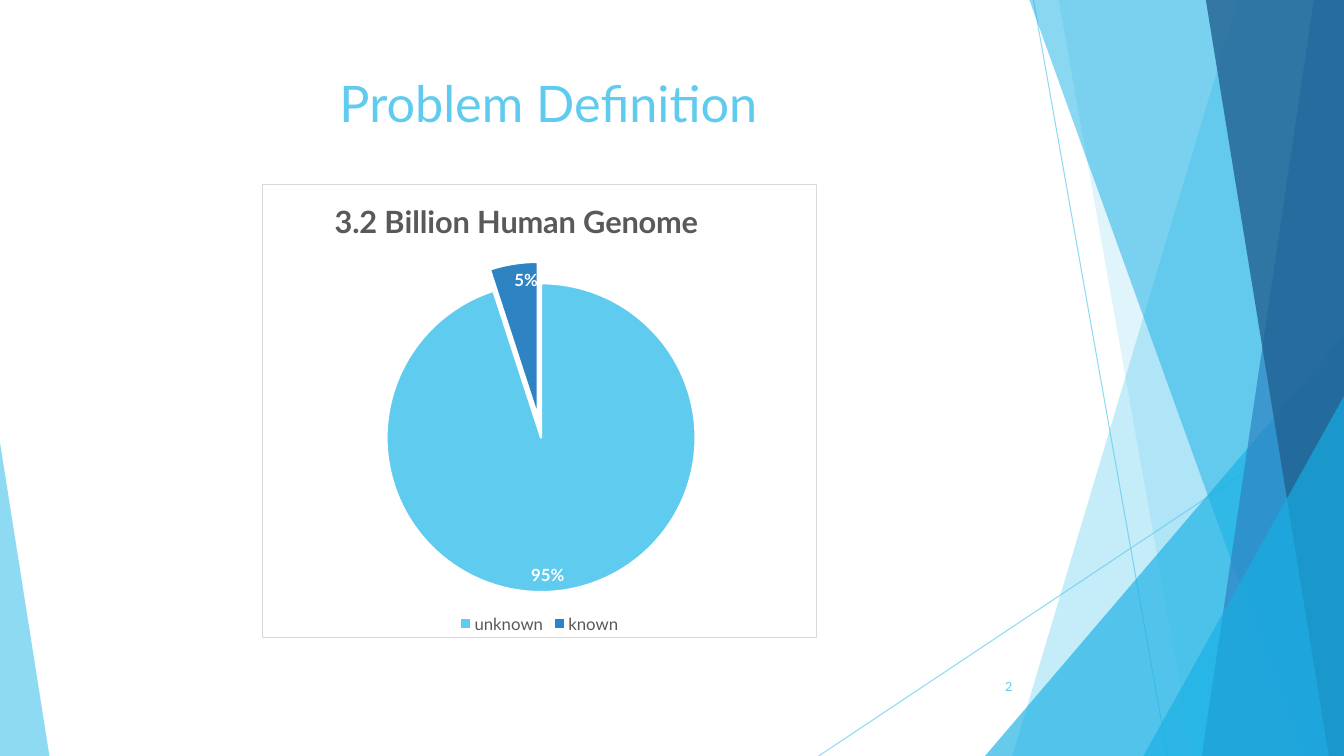
import pptx
import pptx.chart.data
import pptx.dml.color
import pptx.enum.chart
import pptx.enum.shapes
import pptx.enum.text
import pptx.oxml
import pptx.oxml.ns
import pptx.util

SCALE = 9144
WIDTH, HEIGHT = 1333, 750
FONT = "Lato"
COLORS = {
    "sky": "5FCBEF", "cyan": "17B0E4", "blue": "2E83C3", "navy": "226292",
    "white": "FFFFFF", "gray": "595959", "border": "D9D9D9",
}
TITLE = ("Problem Definition", (74, 67, 940, 88))
PAGE_NUMBER = ("2", (939, 661, 75, 40))
CHART_TITLE = "3.2 Billion Human Genome"
CHART_BOX = (260, 183, 550, 450)
SHARES = {"unknown": (95, "sky", 0), "known": (5, "blue", 7)}
RAYS = [((1025, 0), (1158, 750)), ((1333, 403), (812, 750))]
FACETS = [
    ("band", (1228, 1004), "sky", 36),
    ("band", (1050, 1183), "sky", 20),
    ("triangle", (977, 333, 356, 417, 1), "cyan", 66),
    ("band", (1021, 1291), "cyan", 50),
    ("band", (1303, 1192), "blue", 70),
    ("band", (1196, 1318), "navy", 80),
    ("triangle", (1134, 393, 199, 357, 1), "cyan", 66),
    ("triangle", (0, 439, 49, 311, 0), "sky", 70),
]


def emu(lengths):
    return [pptx.util.Emu(length * SCALE) for length in lengths]


def rgb(name):
    return pptx.dml.color.RGBColor.from_string(COLORS[name])


def set_font(font, size, color, bold=False):
    font.name, font.size, font.bold = FONT, pptx.util.Pt(size), bold
    font.color.rgb = rgb(color)


def set_alpha(element, percent):
    color = element.find(".//" + pptx.oxml.ns.qn("a:srgbClr"))
    alpha = color.makeelement(pptx.oxml.ns.qn("a:alpha"), {"val": str(percent * 1000)})
    color.append(alpha)


def add_ray(page, start, end):
    ray = page.shapes.add_connector(
        pptx.enum.shapes.MSO_CONNECTOR.STRAIGHT, *emu(start + end))
    ray.line.color.rgb = rgb("sky")
    ray.line.width = pptx.util.Pt(0.75)
    properties = ray._element.spPr
    set_alpha(properties, 70)
    properties.append(properties.makeelement(pptx.oxml.ns.qn("a:effectLst"), {}))


def add_facet(page, kind, place, color, alpha):
    if kind == "band":
        top, bottom = place
        builder = page.shapes.build_freeform(top, 0, scale=SCALE)
        builder.add_line_segments([(WIDTH, 0), (WIDTH, HEIGHT), (bottom, HEIGHT)])
        facet = builder.convert_to_shape()
    else:
        *box, apex = place
        facet = page.shapes.add_shape(
            pptx.enum.shapes.MSO_SHAPE.ISOSCELES_TRIANGLE, *emu(box))
        facet.adjustments[0] = apex
    facet.shadow.inherit = False
    facet.fill.solid()
    facet.fill.fore_color.rgb = rgb(color)
    facet.line.fill.background()
    set_alpha(facet._element.spPr, alpha)


def write(box, place, text, size, align, anchor):
    box.left, box.top, box.width, box.height = emu(place)
    frame = box.text_frame
    frame.word_wrap = True
    frame.vertical_anchor = anchor
    para = frame.paragraphs[0]
    para.text, para.alignment = text, align
    set_font(para.font, size, "sky")


def set_layout(parent, position, **fields):
    for old in parent.findall(pptx.oxml.ns.qn("c:layout")):
        parent.remove(old)
    parts = "".join(f'<c:{key} val="{value}"/>' for key, value in fields.items())
    parent.insert(position, pptx.oxml.parse_xml(
        f'<c:layout {pptx.oxml.ns.nsdecls("c")}><c:manualLayout>{parts}'
        "</c:manualLayout></c:layout>"))


def add_pie(page):
    data = pptx.chart.data.CategoryChartData()
    data.categories = list(SHARES)
    data.add_series("Series 1", [value for value, _, _ in SHARES.values()])
    chart = page.shapes.add_chart(
        pptx.enum.chart.XL_CHART_TYPE.PIE, *emu(CHART_BOX), data).chart
    set_font(chart.font, 12, "gray")

    chart.has_title = True
    para = chart.chart_title.text_frame.paragraphs[0]
    para.text = CHART_TITLE
    set_font(para.font, 22, "gray", True)
    chart.chart_title.include_in_layout = False
    set_layout(chart.chart_title._element, 1, xMode="edge", yMode="edge", x=0.12, y=0.02)

    chart.has_legend = True
    chart.legend.position = pptx.enum.chart.XL_LEGEND_POSITION.BOTTOM
    chart.legend.include_in_layout = False
    set_font(chart.legend.font, 12, "gray")

    plot = chart.plots[0]
    plot.vary_by_categories = True
    set_layout(chart._chartSpace.chart.plotArea, 0, layoutTarget="inner",
               xMode="edge", yMode="edge", x=0.2, y=0.17, w=0.6, h=0.73)
    series = plot.series[0]
    for index, (_, color, explosion) in enumerate(SHARES.values()):
        point = series.points[index]
        point.format.fill.solid()
        point.format.fill.fore_color.rgb = rgb(color)
        point.format.line.color.rgb = rgb("white")
        point.format.line.width = pptx.util.Pt(1.5)
        if explosion:
            properties = point.format._element if hasattr(point.format, "_element") else (
                series._element.findall(pptx.oxml.ns.qn("c:dPt"))[index].spPr)
            properties.addprevious(properties.makeelement(
                pptx.oxml.ns.qn("c:explosion"), {"val": str(explosion)}))

    labels = series.data_labels
    labels.show_percentage = True
    labels.show_value = False
    labels.number_format, labels.number_format_is_linked = "0%", False
    labels.position = pptx.enum.chart.XL_LABEL_POSITION.INSIDE_END
    set_font(labels.font, 12, "white", True)

    frame = pptx.oxml.parse_xml(
        f'<c:spPr {pptx.oxml.ns.nsdecls("c", "a")}>'
        f'<a:solidFill><a:srgbClr val="{COLORS["white"]}"/></a:solidFill>'
        f'<a:ln w="9525"><a:solidFill><a:srgbClr val="{COLORS["border"]}"/>'
        "</a:solidFill></a:ln></c:spPr>")
    chart._chartSpace.chart.addnext(frame)


def main():
    deck = pptx.Presentation()
    deck.slide_width, deck.slide_height = emu((WIDTH, HEIGHT))
    page = deck.slides.add_slide(deck.slide_layouts[5])
    for start, end in RAYS:
        add_ray(page, start, end)
    for facet in FACETS:
        add_facet(page, *facet)

    align = pptx.enum.text.PP_ALIGN
    anchor = pptx.enum.text.MSO_ANCHOR
    text, place = TITLE
    write(page.shapes.title, place, text, 36, align.CENTER, anchor.TOP)
    add_pie(page)
    text, place = PAGE_NUMBER
    number = page.shapes.add_textbox(*emu(place))
    write(number, place, text, 9, align.RIGHT, anchor.MIDDLE)
    deck.save("out.pptx")


if __name__ == "__main__":
    main()
